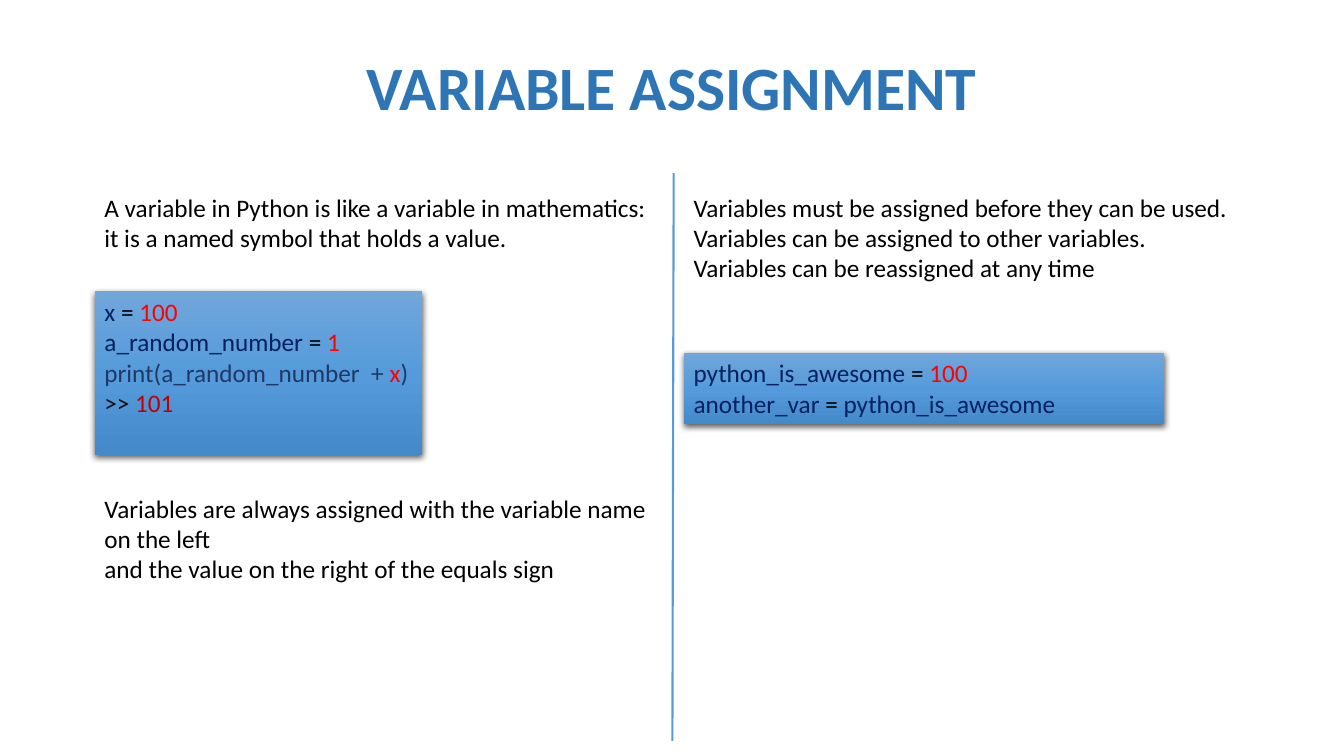
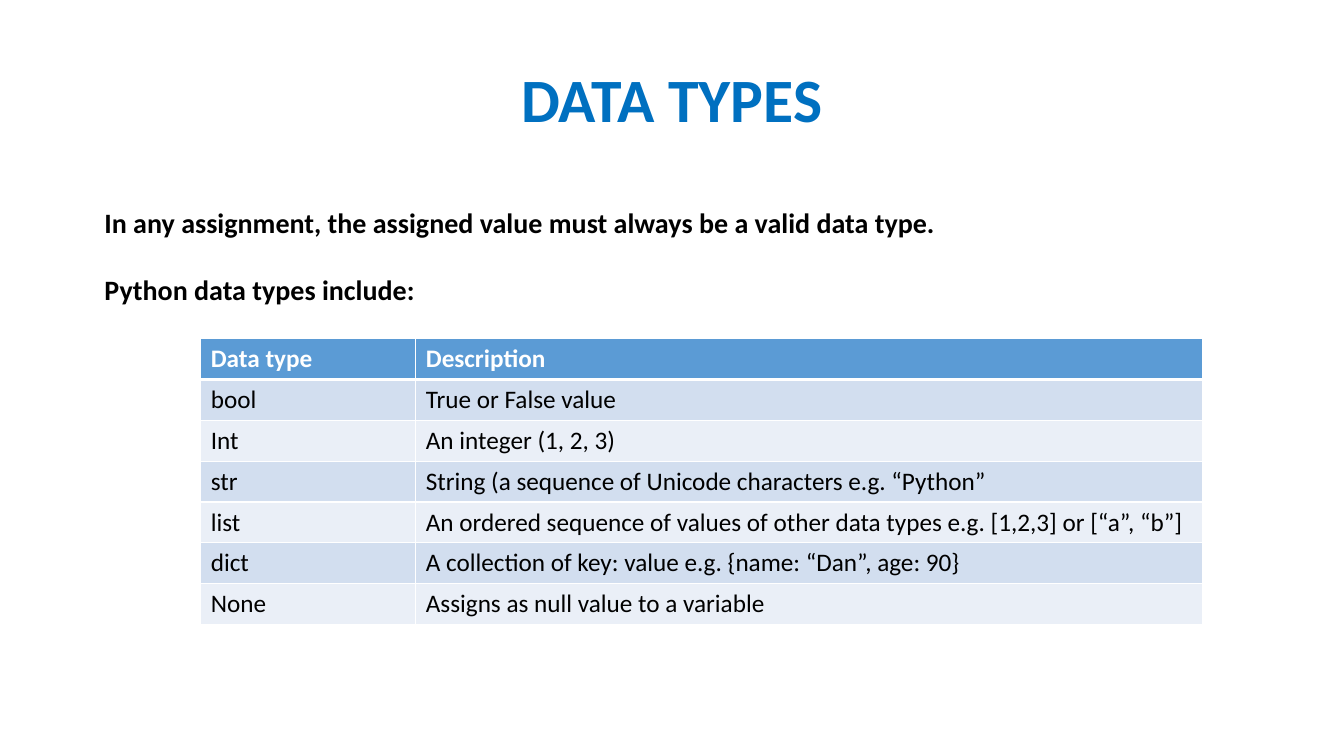
"""Build two slides on Python variables and data types."""
from dataclasses import dataclass

from lxml.etree import SubElement
from pptx import Presentation
from pptx.dml.color import RGBColor as Rgb
from pptx.enum.shapes import MSO_CONNECTOR as Connector, MSO_SHAPE as Shape
from pptx.enum.text import MSO_ANCHOR as Anchor, PP_ALIGN as Align
from pptx.oxml import parse_xml
from pptx.oxml.ns import nsdecls, qn
from pptx.util import Inches, Pt


@dataclass(frozen=True)
class Theme:
    """Hold the colours, font and type sizes of the deck."""
    font: str = "Calibri"
    title_size: int = 44
    lead_size: int = 20
    body_size: int = 18
    white: str = "FFFFFF"
    black: str = "000000"
    title_steel: str = "2E75B6"
    title_blue: str = "0070C0"
    accent: str = "5B9BD5"
    name: str = "002060"
    call: str = "203864"
    prompt: str = "0D0D0D"
    value: str = "FF0000"
    result: str = "C00000"
    bands: tuple = ("D2DEEF", "EAEFF7")
    gradient: tuple = ((0, "71A6DB"), (50, "559BDB"), (100, "448ACA"))


THEME = Theme()
COLUMNS, ROWS = 160, 90
SLIDE_WIDTH, SLIDE_HEIGHT = Inches(13.33), Inches(7.5)
LEFT, RIGHT, COLUMN_WIDTH = 11.25, 81.4, 67.5


def across(columns):
    """Return the length of a number of grid columns."""
    return round(SLIDE_WIDTH * columns / COLUMNS)


def down(rows):
    """Return the length of a number of grid rows."""
    return round(SLIDE_HEIGHT * rows / ROWS)


def area(left, top, width, height):
    """Return left, top, width and height for a block of the grid."""
    return across(left), down(top), across(width), down(height)


def write(frame, lines, size=THEME.body_size, color=THEME.black, bold=False,
          align=Align.LEFT, anchor=Anchor.TOP, spacing=None, gap=0):
    """Write lines, each a string or a list of (text, colour) spans."""
    frame.word_wrap = True
    frame.vertical_anchor = anchor
    for index, line in enumerate(lines):
        para = frame.paragraphs[0] if index == 0 else frame.add_paragraph()
        para.alignment = align
        para.line_spacing = spacing
        para.space_before = Pt(gap if index else 0)
        for text, tint in [(line, color)] if isinstance(line, str) else line:
            span = para.add_run()
            span.text = text
            span.font.name = THEME.font
            span.font.size = Pt(size)
            span.font.bold = bold
            span.font.color.rgb = Rgb.from_string(tint)


def add_page(deck, title, color, height):
    """Add a title-only slide with a centred title."""
    page = deck.slides.add_slide(deck.slide_layouts[5])
    box = page.shapes.title
    box.left, box.top, box.width, box.height = area(11, 4.8, 138, height)
    write(box.text_frame, [title], size=THEME.title_size, color=color, bold=True,
          align=Align.CENTER, anchor=Anchor.MIDDLE, spacing=0.9)
    return page


def add_text(page, place, lines, **style):
    """Add a wrapped text box."""
    write(page.shapes.add_textbox(*area(*place)).text_frame, lines, **style)


def add_code(page, place, lines):
    """Add a shaded code panel with a soft shadow."""
    panel = page.shapes.add_shape(Shape.RECTANGLE, *area(*place))
    panel.line.fill.background()
    panel.fill.gradient()
    panel.fill.gradient_angle = 270
    properties = panel.element.spPr
    stops = properties.find(qn("a:gradFill")).find(qn("a:gsLst"))
    for stop in list(stops):
        stops.remove(stop)
    for percent, color in THEME.gradient:
        stop = SubElement(stops, qn("a:gs"), pos=str(percent * 1000))
        SubElement(stop, qn("a:srgbClr"), val=color)
    panel.shadow.inherit = False
    properties.find(qn("a:effectLst")).append(parse_xml(
        f'<a:outerShdw {nsdecls("a")} blurRad="{Pt(4.5)}" dist="{Pt(1.5)}" '
        f'dir="5400000" algn="ctr" rotWithShape="0"><a:srgbClr val="{THEME.black}">'
        '<a:alpha val="63000"/></a:srgbClr></a:outerShdw>'))
    write(panel.text_frame, lines)


def add_divider(page, start, end):
    """Add a thin line between two grid points."""
    line = page.shapes.add_connector(
        Connector.STRAIGHT, across(start[0]), down(start[1]), across(end[0]), down(end[1]))
    line.line.color.rgb = Rgb.from_string(THEME.accent)
    line.line.width = Pt(1.5)
    SubElement(line.element.spPr, qn("a:effectLst"))


def set_borders(cell, **widths):
    """Give a cell white borders, with widths in points by side."""
    properties = cell._tc.get_or_add_tcPr()
    for index, side in enumerate("LRTB"):
        properties.insert(index, parse_xml(
            f'<a:ln{side} {nsdecls("a")} w="{Pt(widths.get(side, 1))}"><a:solidFill>'
            f'<a:srgbClr val="{THEME.white}"/></a:solidFill></a:ln{side}>'))


def add_grid(page, left, top, widths, row_height, rows):
    """Add a table with a header row and banded body rows."""
    place = area(left, top, sum(widths), row_height * len(rows))
    table = page.shapes.add_table(len(rows), len(widths), *place).table
    for column, width in zip(table.columns, widths):
        column.width = across(width)
    for index, texts in enumerate(rows):
        header = index == 0
        table.rows[index].height = down(row_height)
        fill = THEME.accent if header else THEME.bands[(index - 1) % 2]
        for column, text in enumerate(texts):
            cell = table.cell(index, column)
            cell.fill.solid()
            cell.fill.fore_color.rgb = Rgb.from_string(fill)
            set_borders(cell, B=3 if header else 1, T=3 if index == 1 else 1)
            write(cell.text_frame, [text], bold=header,
                  color=THEME.white if header else THEME.black)


def assign(name, value, color=THEME.value):
    """Return the coloured spans of an assignment."""
    return [(f"{name} ", THEME.name), ("= ", THEME.black), (value, color)]


def build_assignment(deck):
    """Build the slide on variable assignment."""
    page = add_page(deck, "VARIABLE ASSIGNMENT", THEME.title_steel, 12)
    add_text(page, (LEFT, 22.3, COLUMN_WIDTH, 8.5), [
        "A variable in Python is like a variable in mathematics: "
        "it is a named symbol that holds a value."])
    add_code(page, (LEFT, 34.7, 39, 19.5), [
        assign("x", "100"),
        assign("a_random_number", "1"),
        [("print(a_random_number  + ", THEME.call), ("x", THEME.value), (")", THEME.call)],
        [(">> ", THEME.prompt), ("101", THEME.result)]])
    add_text(page, (LEFT, 58.1, COLUMN_WIDTH, 15.7), [
        "Variables are always assigned with the variable name on the left",
        "and the value on the right of the equals sign"])
    add_text(page, (RIGHT, 22.3, COLUMN_WIDTH, 15.7), [
        "Variables must be assigned before they can be used.",
        "Variables can be assigned to other variables.",
        "Variables can be reassigned at any time"])
    add_code(page, (RIGHT, 42, 57.2, 8.5), [
        assign("python_is_awesome", "100"),
        assign("another_var", "python_is_awesome", THEME.name)])
    add_divider(page, (80.2, 20.6), (80.05, 88.2))


def build_types(deck):
    """Build the slide on data types."""
    page = add_page(deck, "DATA TYPES", THEME.title_blue, 14.8)
    add_text(page, (LEFT, 23.9, 136.5, 13.3), [
        "In any assignment, the assigned value must always be a valid data type.",
        "Python data types include:"], size=THEME.lead_size, bold=True, gap=24)
    add_grid(page, 23.9, 40.3, (25.6, 93.7), 4.87, [
        ("Data type", "Description"),
        ("bool", "True or False value"),
        ("Int", "An integer (1, 2, 3)"),
        ("str", "String (a sequence of Unicode characters e.g. “Python”"),
        ("list", "An ordered sequence of values of other data types "
                 "e.g. [1,2,3] or [“a”, “b”]"),
        ("dict", "A collection of key: value e.g. {name: “Dan”, age: 90}"),
        ("None", "Assigns as null value to a variable")])


def main():
    """Build and save the deck."""
    deck = Presentation()
    deck.slide_width, deck.slide_height = SLIDE_WIDTH, SLIDE_HEIGHT
    build_assignment(deck)
    build_types(deck)
    deck.save("out.pptx")


if __name__ == "__main__":
    main()
